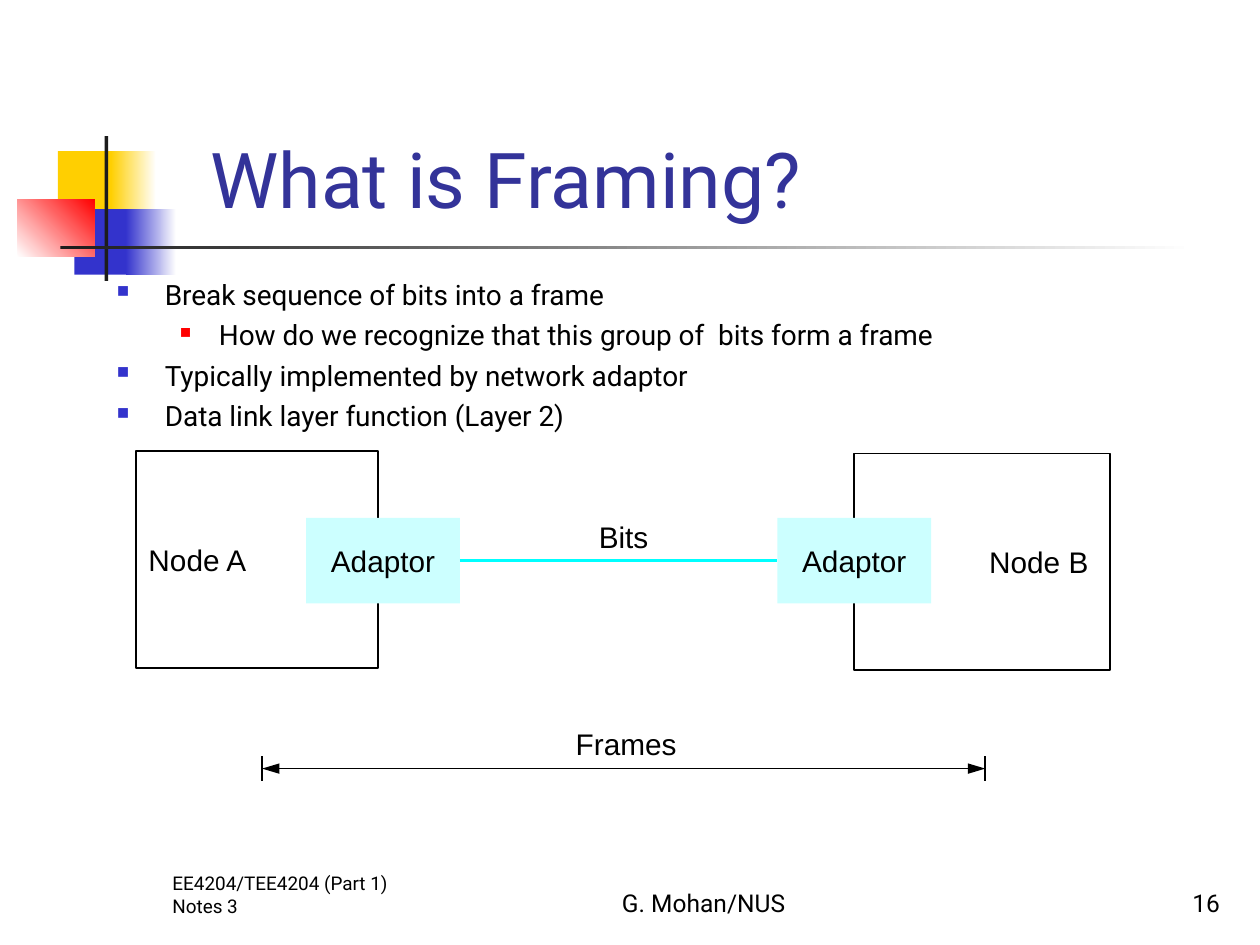
from lxml import etree
from pptx import Presentation
from pptx.dml.color import RGBColor
from pptx.enum.shapes import MSO_CONNECTOR, MSO_SHAPE
from pptx.enum.text import MSO_ANCHOR, PP_ALIGN
from pptx.oxml.ns import qn
from pptx.util import Inches, Pt

RECTANGLE = MSO_SHAPE.RECTANGLE
STRAIGHT = MSO_CONNECTOR.STRAIGHT
LEFT, CENTER, RIGHT = PP_ALIGN.LEFT, PP_ALIGN.CENTER, PP_ALIGN.RIGHT
TOP, MIDDLE, BOTTOM = MSO_ANCHOR.TOP, MSO_ANCHOR.MIDDLE, MSO_ANCHOR.BOTTOM

BLACK = RGBColor(0x00, 0x00, 0x00)
WHITE = RGBColor(0xFF, 0xFF, 0xFF)
CHARCOAL = RGBColor(0x1C, 0x1C, 0x1C)
YELLOW = RGBColor(0xFF, 0xCF, 0x01)
BLUE = RGBColor(0x33, 0x33, 0xCC)
RED = RGBColor(0xFF, 0x00, 0x00)
TITLE_BLUE = RGBColor(0x33, 0x33, 0x99)
PALE_CYAN = RGBColor(0xCC, 0xFF, 0xFF)
CYAN = RGBColor(0x00, 0xFF, 0xFF)

BODY_FONT, DIAGRAM_FONT = "Roboto", "Arial"
DIAGRAM_SIZE = 17

BULLETS = [
    (0, "Break sequence of bits into a frame"),
    (1, "How do we recognize that this group of  bits form a frame"),
    (0, "Typically implemented by network adaptor"),
    (0, "Data link layer function (Layer 2)"),
]
# Per level: left margin, hanging indent, bullet colour, bullet size in percent
BULLET_LEVELS = [(0.38, 0.38, BLUE, 60), (0.81, 0.31, RED, 55)]


def format_para(para, size, font=BODY_FONT, color=BLACK, align=LEFT):
    para.alignment = align
    for span in para.runs:
        span.font.size = Pt(size)
        span.font.name = font
        span.font.color.rgb = color


def add_rectangle(page, left, top, width, height, fill=None, fade=None,
                  angle=0, outline=None):
    """Rectangle with a plain fill, a fade from fill to fade, or no fill."""
    box = page.shapes.add_shape(RECTANGLE, Inches(left), Inches(top),
                                Inches(width), Inches(height))
    box.shadow.inherit = False
    if fill is None:
        box.fill.background()
    elif fade is None:
        box.fill.solid()
        box.fill.fore_color.rgb = fill
    else:
        box.fill.gradient()
        box.fill.gradient_angle = angle
        for stop, color in zip(box.fill.gradient_stops, (fill, fade)):
            stop.color.rgb = color
    if outline is None:
        box.line.fill.background()
    else:
        box.line.color.rgb = outline
        box.line.width = Pt(1)
    return box


def label_shape(box, text, align=CENTER, side_margin=0.0):
    frame = box.text_frame
    frame.margin_left = frame.margin_right = Inches(side_margin)
    frame.vertical_anchor = MIDDLE
    frame.text = text
    format_para(frame.paragraphs[0], DIAGRAM_SIZE, DIAGRAM_FONT, align=align)


def add_text(page, left, top, width, height, text, size, font=BODY_FONT,
             align=LEFT, anchor=BOTTOM, margin=None):
    box = page.shapes.add_textbox(Inches(left), Inches(top),
                                  Inches(width), Inches(height))
    frame = box.text_frame
    frame.word_wrap = True
    frame.vertical_anchor = anchor
    if margin is not None:
        frame.margin_left = frame.margin_right = Inches(margin)
        frame.margin_top = frame.margin_bottom = Inches(margin)
    frame.text = text
    for para in frame.paragraphs:
        format_para(para, size, font, align=align)
    return box


def add_line(page, start, end, color=BLACK, width=1, arrows=False):
    line = page.shapes.add_connector(STRAIGHT, Inches(start[0]), Inches(start[1]),
                                     Inches(end[0]), Inches(end[1]))
    line.line.color.rgb = color
    line.line.width = Pt(width)
    if arrows:
        for tag in ("a:headEnd", "a:tailEnd"):
            etree.SubElement(line.line._get_or_add_ln(), qn(tag),
                             type="triangle", w="med", len="lg")
    etree.SubElement(line._element.spPr, qn("a:effectLst"))
    return line


def set_bullet(para, level):
    margin, hanging, color, percent = BULLET_LEVELS[level]
    para.level = level
    properties = para._p.get_or_add_pPr()
    properties.set("marL", str(Inches(margin)))
    properties.set("indent", str(-Inches(hanging)))
    bullet_color = etree.SubElement(properties, qn("a:buClr"))
    etree.SubElement(bullet_color, qn("a:srgbClr"), val=str(color))
    etree.SubElement(properties, qn("a:buSzPct"), val=str(percent * 1000))
    etree.SubElement(properties, qn("a:buChar"), char="■")


def add_decoration(page):
    add_rectangle(page, 0.46, 1.2, 0.48, 0.52, YELLOW)
    add_rectangle(page, 0.88, 1.2, 0.36, 0.52, YELLOW, WHITE)
    add_rectangle(page, 0.59, 1.66, 0.46, 0.52, BLUE)
    add_rectangle(page, 1, 1.66, 0.4, 0.52, BLUE, WHITE)
    add_rectangle(page, 0.14, 1.58, 0.61, 0.46, WHITE, RED, angle=45)
    add_rectangle(page, 0.83, 1.08, 0.03, 1.15, CHARCOAL)
    add_rectangle(page, 0.48, 1.95, 9, 0.03, CHARCOAL, WHITE)


def add_title(page, text):
    title = page.shapes.title
    title.left, title.top = Inches(1.26), Inches(0.23)
    title.width, title.height = Inches(8.52), Inches(1.6)
    frame = title.text_frame
    frame.vertical_anchor = BOTTOM
    frame.margin_left = Inches(0.41)
    frame.text = text
    format_para(frame.paragraphs[0], 44, color=TITLE_BLUE)


def add_bullets(page):
    text = "\n".join(line for _, line in BULLETS)
    box = add_text(page, 0.83, 2.15, 8.5, 1.4, text, 16, anchor=TOP)
    for index, para in enumerate(box.text_frame.paragraphs):
        set_bullet(para, BULLETS[index][0])
        para.space_before = Pt(4 if index else 0)


def add_diagram(page):
    # Nodes, each with an adaptor across its inner edge
    node_a = add_rectangle(page, 1.08, 3.58, 1.92, 1.72, outline=BLACK)
    label_shape(node_a, "Node A", LEFT, 0.1)
    node_b = add_rectangle(page, 6.78, 3.6, 2.03, 1.72, outline=BLACK)
    label_shape(node_b, "Node B", RIGHT, 0.17)
    adaptors = []
    for left in (2.43, 6.17):
        adaptor = add_rectangle(page, left, 4.11, 1.22, 0.68, PALE_CYAN)
        label_shape(adaptor, "Adaptor")
        adaptors.append(adaptor)

    # Bit link between the adaptors
    link = add_line(page, (3.65, 4.45), (6.17, 4.45), CYAN, 2)
    link.begin_connect(adaptors[0], 3)
    link.end_connect(adaptors[1], 1)
    add_text(page, 4.55, 4.12, 0.8, 0.28, "Bits", DIAGRAM_SIZE, DIAGRAM_FONT,
             CENTER, TOP, 0)

    # Frame span between the nodes
    start, end = 2.08, 7.82
    for x in (start, end):
        add_line(page, (x, 6), (x, 6.2))
    add_line(page, (start, 6.1), (end, 6.1), arrows=True)
    add_text(page, 4.47, 5.76, 1, 0.28, "Frames", DIAGRAM_SIZE, DIAGRAM_FONT,
             CENTER, TOP, 0)


def add_footer(page):
    top, height = 6.83, 0.5
    add_text(page, 1.27, top, 2.08, height, "EE4204/TEE4204 (Part 1) Notes 3", 10.8)
    add_text(page, 4, top, 3.17, height, "G. Mohan/NUS", 14, align=CENTER)
    add_text(page, 7.7, top, 2.08, height, "16", 14, align=RIGHT)


def main():
    deck = Presentation()
    deck.slide_width, deck.slide_height = Inches(10), Inches(7.5)
    page = deck.slides.add_slide(deck.slide_layouts[5])
    add_decoration(page)
    add_title(page, "What is Framing?")
    add_bullets(page)
    add_diagram(page)
    add_footer(page)
    deck.save("out.pptx")


if __name__ == "__main__":
    main()
